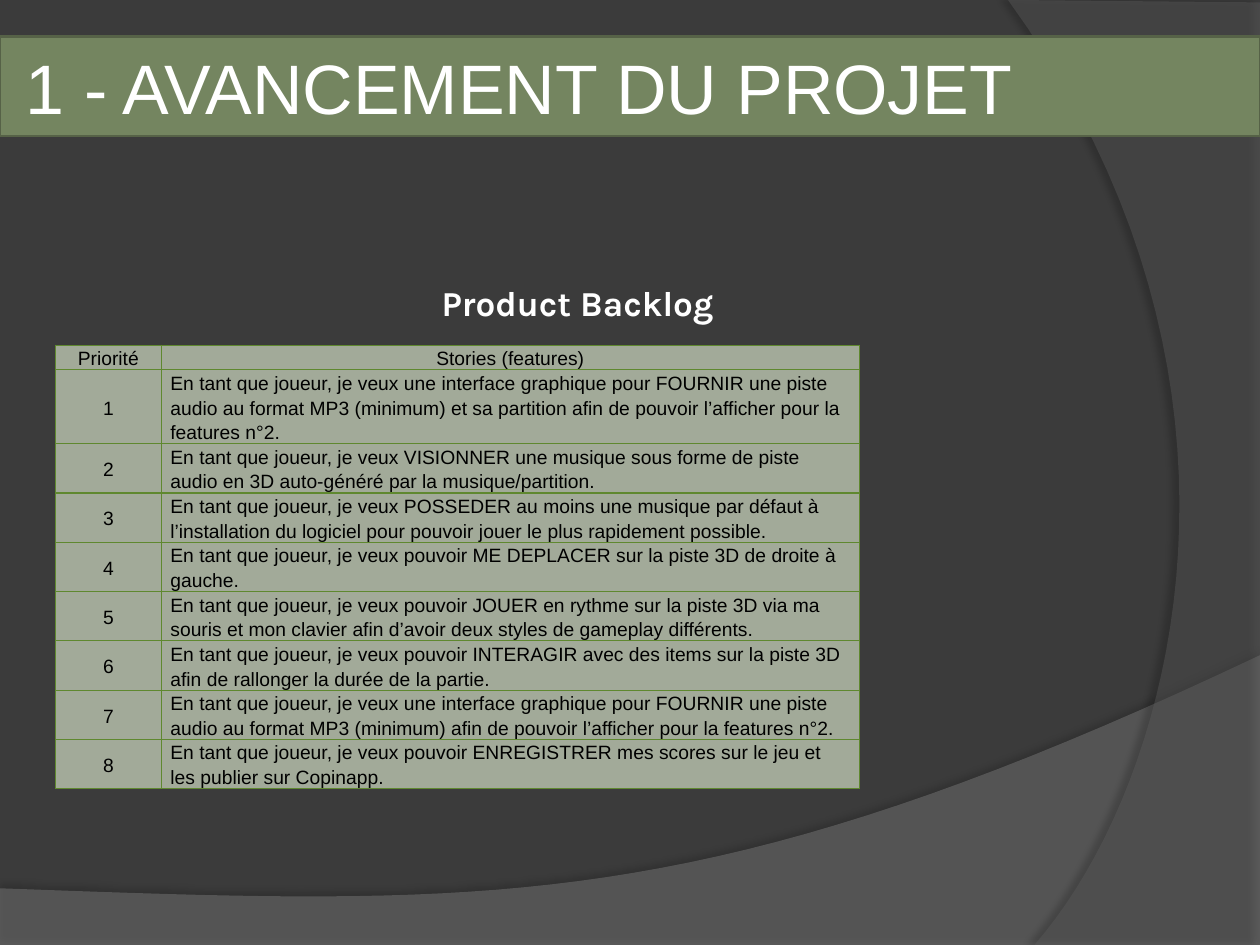
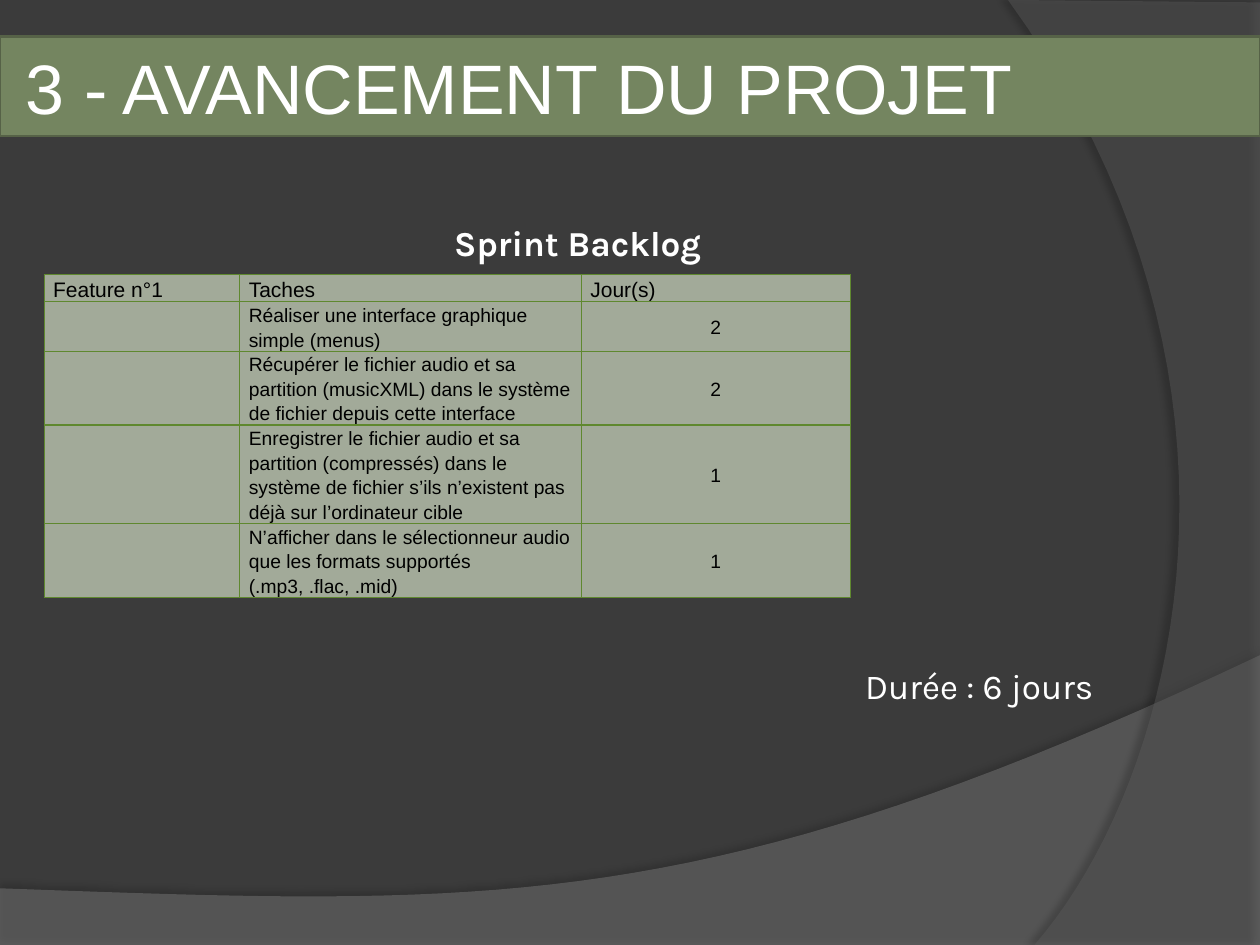
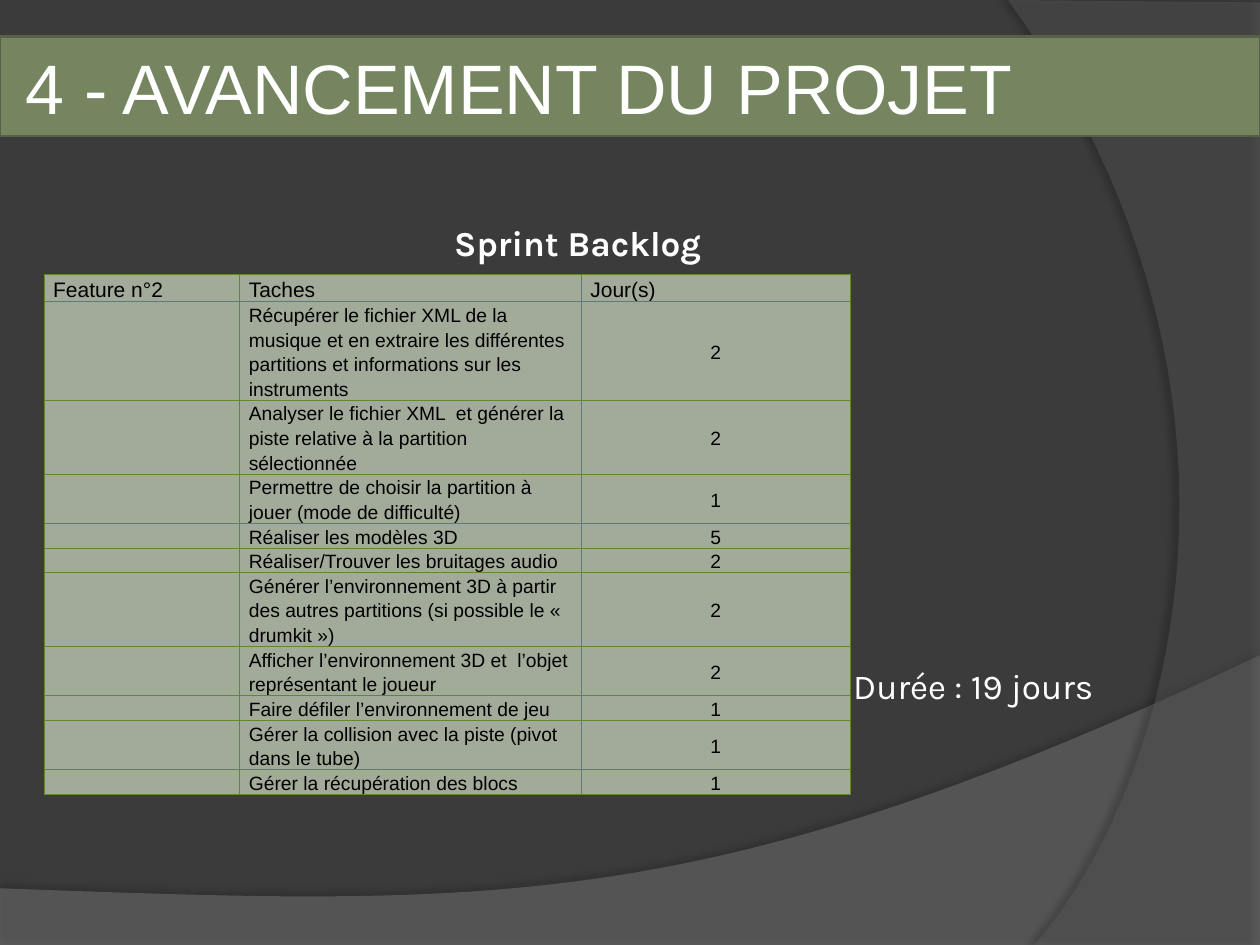
from dataclasses import dataclass
from typing import Any

from lxml.etree import SubElement
from pptx import Presentation
from pptx.dml.color import RGBColor
from pptx.enum.text import MSO_ANCHOR as Anchor, MSO_AUTO_SIZE as AutoSize, PP_ALIGN as Align
from pptx.oxml.ns import qn
from pptx.util import Pt

BACKGROUND = RGBColor(0x3B, 0x3B, 0x3B)
WAVE_GREY = RGBColor(0x7F, 0x7F, 0x7F)
ARC_GREY = RGBColor(0x5E, 0x5E, 0x5E)
BAND_GREEN = RGBColor(0x74, 0x85, 0x60)
BAND_EDGE = RGBColor(0x56, 0x62, 0x47)
CELL_FILL = RGBColor(0xA2, 0xAA, 0x99)
CELL_EDGE = RGBColor(0x5F, 0x88, 0x2F)
WHITE = RGBColor(0xFF, 0xFF, 0xFF)
BLACK = RGBColor(0, 0, 0)

TITLE_FONT = {"name": "Arial", "size": Pt(40), "bold": False}
HEADING_FONT = {"name": "Karla", "size": Pt(20), "bold": True}
DURATION_FONT = HEADING_FONT | {"bold": False}
CELL_SIZE = 11

TITLE_BOX = {"left": Pt(0), "top": Pt(20.9), "width": Pt(720), "height": Pt(56.9)}
TITLE_FRAME = {"margin_left": Pt(14.7), "margin_right": Pt(3.6), "margin_top": Pt(3.6),
               "margin_bottom": Pt(3.6), "vertical_anchor": Anchor.MIDDLE,
               "auto_size": AutoSize.NONE, "word_wrap": True}
BODY_BOX = {"left": Pt(25.2), "top": Pt(88.6), "width": Pt(607), "height": Pt(393.8)}
BODY_FRAME = {"margin_left": Pt(10.1), "margin_right": Pt(7.2), "margin_bottom": Pt(3.6),
              "vertical_anchor": Anchor.TOP, "auto_size": AutoSize.NONE, "word_wrap": True}
CELL_FRAME = {"margin_left": Pt(5.2), "margin_right": Pt(5.2),
              "margin_top": Pt(0), "margin_bottom": Pt(0)}

Point = tuple[float, float]


@dataclass(frozen=True)
class Outline:
    """Straight corners, then a Bezier from the last corner through `curve`."""
    corners: list[Point]
    curve: tuple[Point, Point, Point]
    color: RGBColor
    opacity: int
    shadow_opacity: int
    shadow_distance: float
    shadow_angle: int


@dataclass(frozen=True)
class Backlog:
    left: float
    top: float
    height: float
    widths: tuple[float, ...]
    header_size: int
    header_centered: bool
    rows: list[tuple[str, ...]]


@dataclass(frozen=True)
class Page:
    number: int
    heading: str
    heading_offset: float
    backlog: Backlog
    duration: str = ""


WAVE = Outline([(0, 507.6), (0, 540.7), (720, 540.7), (720, 374.4)],
               ((402.5, 524.9), (281.5, 517.7), (0, 507.6)), WAVE_GREY, 45, 35, 3.5, 270)
ARC = Outline([(720, 1.4), (720, 540), (591.1, 540)],
              ((673.2, 445.7), (733, 216), (576, 0)), ARC_GREY, 40, 45, 4, 180)


def sprint_page(number: int, feature: int, height: float, duration: str,
                tasks: list[tuple[str, int]]) -> Page:
    rows = [(f"Feature n°{feature}", "Taches", "Jour(s)")]
    rows += [("", task, str(days)) for task, days in tasks]
    backlog = Backlog(25.2, 157, height, (111.8, 195.2, 153.6), 12, False, rows)
    return Page(number, "Sprint Backlog", 38.2, backlog, duration)


STORIES = [
    "En tant que joueur, je veux une interface graphique pour FOURNIR une piste audio au format "
    "MP3 (minimum) et sa partition afin de pouvoir l’afficher pour la features n°2.",
    "En tant que joueur, je veux VISIONNER une musique sous forme de piste audio en 3D "
    "auto-généré par la musique/partition.",
    "En tant que joueur, je veux POSSEDER au moins une musique par défaut à l’installation du "
    "logiciel pour pouvoir jouer le plus rapidement possible.",
    "En tant que joueur, je veux pouvoir ME DEPLACER sur la piste 3D de droite à gauche.",
    "En tant que joueur, je veux pouvoir JOUER en rythme sur la piste 3D via ma souris et mon "
    "clavier afin d’avoir deux styles de gameplay différents.",
    "En tant que joueur, je veux pouvoir INTERAGIR avec des items sur la piste 3D afin de "
    "rallonger la durée de la partie.",
    "En tant que joueur, je veux une interface graphique pour FOURNIR une piste audio au format "
    "MP3 (minimum) afin de pouvoir l’afficher pour la features n°2.",
    "En tant que joueur, je veux pouvoir ENREGISTRER mes scores sur le jeu et les publier sur "
    "Copinapp.",
]
FEATURE_1 = [
    ("Réaliser une interface graphique simple (menus)", 2),
    ("Récupérer le fichier audio et sa partition (musicXML) dans le système de fichier depuis "
     "cette interface", 2),
    ("Enregistrer le fichier audio et sa partition (compressés) dans le système de fichier s’ils "
     "n’existent pas déjà sur l’ordinateur cible", 1),
    ("N’afficher dans le sélectionneur audio que les formats supportés (.mp3, .flac, .mid)", 1),
]
FEATURE_2 = [
    ("Récupérer le fichier XML de la musique et en extraire les différentes partitions et "
     "informations sur les instruments", 2),
    ("Analyser le fichier XML  et générer la piste relative à la partition sélectionnée", 2),
    ("Permettre de choisir la partition à jouer (mode de difficulté)", 1),
    ("Réaliser les modèles 3D", 5),
    ("Réaliser/Trouver les bruitages audio", 2),
    ("Générer l’environnement 3D à partir des autres partitions (si possible le « drumkit »)", 2),
    ("Afficher l’environnement 3D et  l’objet représentant le joueur", 2),
    ("Faire défiler l’environnement de jeu", 1),
    ("Gérer la collision avec la piste (pivot dans le tube)", 1),
    ("Gérer la récupération des blocs", 1),
]
STORY_ROWS = [("Priorité", "Stories (features)")]
STORY_ROWS += [(str(i), story) for i, story in enumerate(STORIES, 1)]

PAGES = [
    Page(1, "Product Backlog", 72,
         Backlog(31.7, 197.3, 273, (60.5, 398.9), CELL_SIZE, True, STORY_ROWS)),
    sprint_page(3, 1, 198.7, "Durée : 6 jours", FEATURE_1),
    sprint_page(4, 2, 320.4, "Durée : 19 jours", FEATURE_2),
]


def set_attrs(target: Any, values: dict[str, Any]) -> None:
    for name, value in values.items():
        setattr(target, name, value)


def add_run(p: Any, text: str, font: dict[str, Any], color: RGBColor) -> None:
    r = p.add_run()
    r.text = text
    set_attrs(r.font, font)
    r.font.color.rgb = color


def add_color(parent: Any, color: RGBColor, opacity: int = 100) -> None:
    clr = SubElement(parent, qn("a:srgbClr"), val=str(color))
    if opacity < 100:
        SubElement(clr, qn("a:alpha"), val=str(opacity * 1000))


def bezier(points: list[Point], steps: int = 40) -> list[Point]:
    """Points along a cubic curve, without its start."""
    curve = []
    for i in range(1, steps + 1):
        t = i / steps
        weights = ((1 - t) ** 3, 3 * t * (1 - t) ** 2, 3 * t * t * (1 - t), t ** 3)
        curve.append((sum(w * x for w, (x, _) in zip(weights, points)),
                      sum(w * y for w, (_, y) in zip(weights, points))))
    return curve


def draw_outline(slide: Any, outline: Outline) -> Any:
    points = outline.corners + bezier([outline.corners[-1], *outline.curve])
    start, *rest = [(Pt(x), Pt(y)) for x, y in points]
    builder = slide.shapes.build_freeform(*start)
    builder.add_line_segments(rest, close=True)
    s = builder.convert_to_shape()
    s.shadow.inherit = False
    s.fill.solid()
    s.fill.fore_color.rgb = outline.color
    s.line.fill.background()
    sp_pr = s.element.spPr
    SubElement(sp_pr.find(".//" + qn("a:srgbClr")), qn("a:alpha"),
               val=str(outline.opacity * 1000))
    shadow = SubElement(sp_pr.find(qn("a:effectLst")), qn("a:outerShdw"),
                        blurRad=str(Pt(4)), dist=str(Pt(outline.shadow_distance)),
                        dir=str(outline.shadow_angle * 60000), algn="ctr", rotWithShape="0")
    add_color(shadow, BLACK, outline.shadow_opacity)
    return s


def decorate_master(master: Any, slide: Any) -> None:
    """Draw the background shapes on a slide and move them to the master."""
    master.background.fill.solid()
    master.background.fill.fore_color.rgb = BACKGROUND
    first = master.placeholders[0].element
    for outline in (WAVE, ARC):
        first.addprevious(draw_outline(slide, outline).element)


def fill_title(title: Any, number: int) -> None:
    set_attrs(title, TITLE_BOX)
    title.fill.solid()
    title.fill.fore_color.rgb = BAND_GREEN
    title.line.color.rgb = BAND_EDGE
    title.line.width = Pt(1.5)
    set_attrs(title.text_frame, TITLE_FRAME)
    p = title.text_frame.paragraphs[0]
    p.alignment = Align.LEFT
    add_run(p, f"{number} - AVANCEMENT DU PROJET", TITLE_FONT, WHITE)


def format_line(p: Any, align: Align, space_before: float) -> None:
    set_attrs(p, {"alignment": align, "space_before": Pt(space_before)})
    p_pr = p._p.get_or_add_pPr()
    p_pr.set("marL", "0")
    p_pr.set("indent", "0")
    SubElement(p_pr, qn("a:buNone"))


def fill_body(body: Any, page: Page) -> None:
    set_attrs(body, BODY_BOX)
    tf = body.text_frame
    set_attrs(tf, BODY_FRAME | {"margin_top": Pt(page.heading_offset)})
    p = tf.paragraphs[0]
    format_line(p, Align.CENTER, 0)
    add_run(p, page.heading, HEADING_FONT, WHITE)
    if page.duration:
        p = tf.add_paragraph()
        format_line(p, Align.RIGHT, 228.6)
        add_run(p, page.duration, DURATION_FONT, WHITE)


def fill_cell(cell: Any, text: str, size: int, centered: bool) -> None:
    set_attrs(cell, CELL_FRAME)
    cell.vertical_anchor = Anchor.MIDDLE if centered else Anchor.TOP
    tc_pr = cell._tc.get_or_add_tcPr()
    for side in ("lnL", "lnR", "lnT", "lnB"):
        ln = SubElement(tc_pr, qn(f"a:{side}"), w=str(Pt(0.75)))
        add_color(SubElement(ln, qn("a:solidFill")), CELL_EDGE)
    cell.fill.solid()
    cell.fill.fore_color.rgb = CELL_FILL
    p = cell.text_frame.paragraphs[0]
    p.alignment = Align.CENTER if centered else Align.LEFT
    if text:
        p.line_spacing = 1.15
        add_run(p, text, {"name": "Arial", "size": Pt(size), "bold": False}, BLACK)
    else:
        SubElement(p._p, qn("a:endParaRPr"), sz=str(size * 100))


def draw_backlog(slide: Any, backlog: Backlog) -> None:
    rows, widths = backlog.rows, backlog.widths
    frame = slide.shapes.add_table(len(rows), len(widths), Pt(backlog.left), Pt(backlog.top),
                                   Pt(sum(widths)), Pt(backlog.height))
    table = frame.table
    set_attrs(table, {"first_row": False, "horz_banding": False})
    for column, width in zip(table.columns, widths):
        column.width = Pt(width)
    for i, texts in enumerate(rows):
        table.rows[i].height = Pt(14)
        for j, text in enumerate(texts):
            centered = backlog.header_centered if i == 0 else text.isdigit()
            size = backlog.header_size if i == 0 else CELL_SIZE
            fill_cell(table.cell(i, j), text, size, centered)
    frame.height = Pt(backlog.height)


def main() -> None:
    prs = Presentation()
    set_attrs(prs, {"slide_width": Pt(720), "slide_height": Pt(540)})
    slides = [prs.slides.add_slide(prs.slide_layouts[1]) for _ in PAGES]
    decorate_master(prs.slide_master, slides[0])
    for slide, page in zip(slides, PAGES):
        fill_title(slide.shapes.title, page.number)
        fill_body(slide.placeholders[1], page)
        draw_backlog(slide, page.backlog)
    prs.save("out.pptx")


if __name__ == "__main__":
    main()
